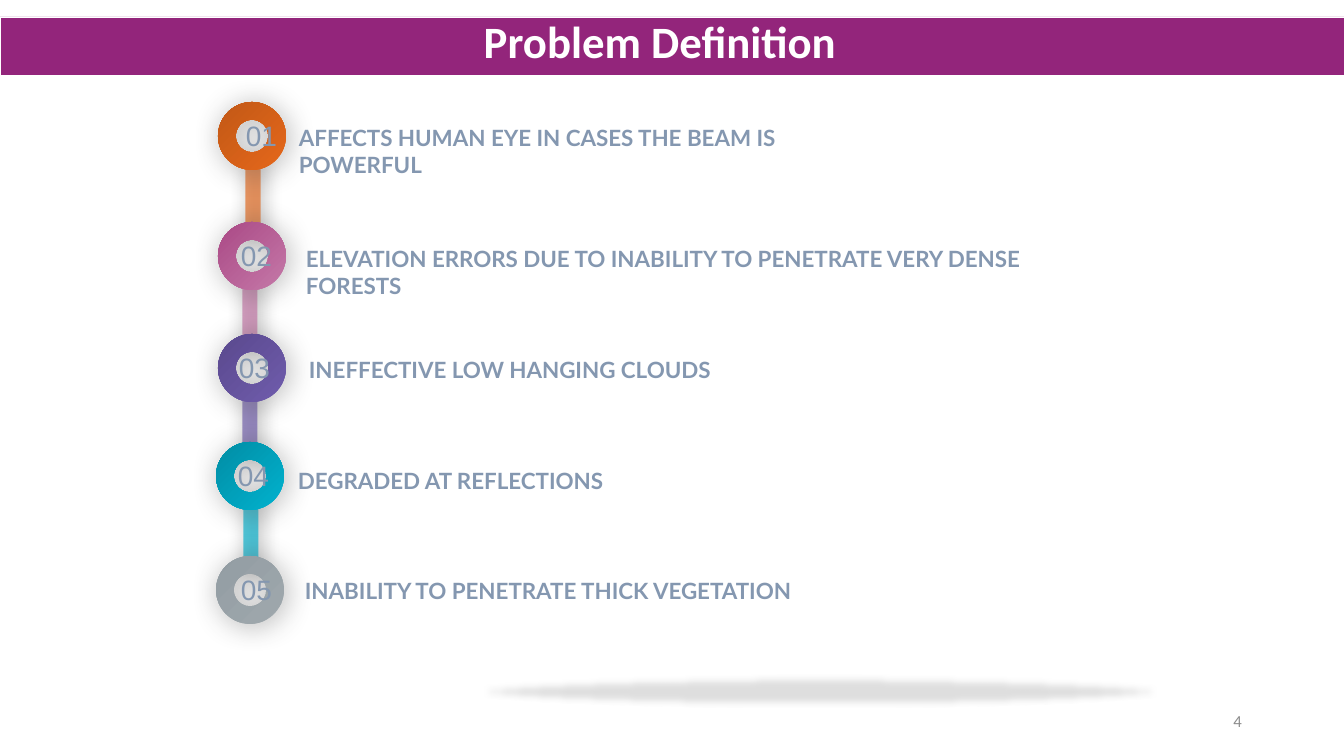
"""Build the Problem Definition slide: five numbered rings joined by links, with captions."""
from lxml.etree import SubElement
from pptx import Presentation
from pptx.dml.color import RGBColor
from pptx.enum.shapes import MSO_CONNECTOR, MSO_SHAPE
from pptx.enum.text import MSO_ANCHOR, MSO_AUTO_SIZE, PP_ALIGN
from pptx.oxml.ns import qn
from pptx.util import Pt

TITLE = "Problem Definition"
PAGE = "4"
PROBLEMS = [
    dict(name="orange", caption="AFFECTS HUMAN EYE IN CASES THE BEAM IS POWERFUL",
         ring=(218, 102), number_x=236, caption_at=(289, 119), caption_width=623, link_x=253),
    dict(name="pink", caption="ELEVATION ERRORS DUE TO INABILITY TO PENETRATE VERY DENSE FORESTS",
         ring=(218, 222), number_x=231, caption_at=(296, 240), caption_width=797, link_x=250),
    dict(name="purple", caption="INEFFECTIVE LOW HANGING CLOUDS",
         ring=(218, 334), number_x=229, caption_at=(299, 351), caption_width=618, link_x=250),
    dict(name="teal", caption="DEGRADED AT REFLECTIONS",
         ring=(216, 442), number_x=228, caption_at=(288, 462), caption_width=360, link_x=251),
    dict(name="grey", caption="INABILITY TO PENETRATE THICK VEGETATION",
         ring=(216, 556), number_x=231, caption_at=(295, 572), caption_width=654, link_x=None),
]
COLORS = {
    "bar": "93257B", "white": "FFFFFF", "text": "8497B0", "page": "8C8C8C", "floor": "D1D1D1",
    "ring_shadow": "404040", "link_shadow": "000000",
    "orange": ("E5681B", "C25816", "E3671B"), "pink": ("C579A8", "AA4986", "C273A4"),
    "purple": ("6F5CAC", "5A498E", "6E5BAA"), "teal": ("01B2CF", "018DA4", "01B0CC"),
    "grey": ("9FA8AD", "939DA3", None),
}
SCALE = 12192000 / 1344
RING = 68
NUMBER_DROP = 12
LINK_START, LINK_END = 56, 15


def px(*lengths):
    return [round(length * SCALE) for length in lengths]


def rgb(value):
    return RGBColor.from_string(value)


def write(holder, text, *, size, color, font="Calibri", bold=False,
          align=PP_ALIGN.LEFT, anchor=MSO_ANCHOR.TOP, spacing=None):
    frame = holder.text_frame
    frame.word_wrap = True
    frame.auto_size = MSO_AUTO_SIZE.NONE
    frame.vertical_anchor = anchor
    paragraph = frame.paragraphs[0]
    paragraph.alignment = align
    paragraph.line_spacing = spacing
    run = paragraph.add_run()
    run.text = text
    run.font.size, run.font.name, run.font.bold = Pt(size), font, bold
    run.font.color.rgb = rgb(color)


def add_effect(shape, kind, color=None, **attributes):
    properties = shape._element.spPr
    for empty in properties.findall(qn("a:effectLst")):
        properties.remove(empty)
    effects = SubElement(properties, qn("a:effectLst"))
    effect = SubElement(effects, qn(f"a:{kind}"), {k: str(v) for k, v in attributes.items()})
    if color:
        shade = SubElement(effect, qn("a:srgbClr"), val=color)
        SubElement(shade, qn("a:alpha"), val="40000")


def add_shadow(shape, color, blur):
    add_effect(shape, "outerShdw", color, blurRad=Pt(blur), dist=Pt(3), dir=45 * 60000,
               algn="tl", rotWithShape=0)


def set_alpha(shape, percent):
    shade = next(shape._element.spPr.iter(qn("a:srgbClr")))
    SubElement(shade, qn("a:alpha"), val=str(percent * 1000))


def add_solid(kind, box, color):
    shape = slide.shapes.add_shape(kind, *px(*box))
    shape.shadow.inherit = False
    shape.fill.solid()
    shape.fill.fore_color.rgb = rgb(color)
    shape.line.fill.background()
    return shape


def add_link(x, top, bottom, color):
    link = slide.shapes.add_connector(MSO_CONNECTOR.STRAIGHT, *px(x, top, x, bottom))
    link.line.width = Pt(10.75)
    link.line.color.rgb = rgb(color)
    set_alpha(link, 65)
    add_shadow(link, COLORS["link_shadow"], 15)


def add_ring(left, top, light, dark):
    ring = slide.shapes.add_shape(MSO_SHAPE.DONUT, *px(left, top, RING, RING))
    ring.adjustments[0] = 0.26
    ring.line.fill.background()
    ring.fill.gradient()
    ring.fill.gradient_angle = 135
    for stop, color in zip(ring.fill.gradient_stops, (light, dark)):
        stop.color.rgb = rgb(color)
    add_shadow(ring, COLORS["ring_shadow"], 20)


def add_label(box, text, **style):
    write(slide.shapes.add_textbox(*px(*box)), text, **style)


deck = Presentation()
deck.slide_width, deck.slide_height = px(1344, 756)
slide = deck.slides.add_slide(deck.slide_layouts[5])

bar = add_solid(MSO_SHAPE.RECTANGLE, (0, 17, 1344, 58), COLORS["bar"])
bar.line.color.rgb = rgb(COLORS["white"])
bar.line.width = Pt(0.25)

title = slide.shapes.title
title.left, title.top, title.width, title.height = px(219, 8, 882, 71)
write(title, TITLE, size=32, color=COLORS["white"], bold=True,
      align=PP_ALIGN.CENTER, anchor=MSO_ANCHOR.MIDDLE, spacing=0.9)
slide.shapes._spTree.append(title._element)

for problem, following in zip(PROBLEMS, PROBLEMS[1:]):
    add_link(problem["link_x"], problem["ring"][1] + LINK_START,
             following["ring"][1] + LINK_END, COLORS[problem["name"]][2])

for problem in PROBLEMS:
    add_ring(*problem["ring"], *COLORS[problem["name"]][:2])

floor = add_solid(MSO_SHAPE.OVAL, (454, 675, 732, 33), COLORS["floor"])
set_alpha(floor, 68)
add_effect(floor, "softEdge", rad=Pt(5))

for number, problem in enumerate(PROBLEMS, 1):
    add_label((problem["number_x"], problem["ring"][1] + NUMBER_DROP, 150, 44), f"{number:02}",
              size=20, font="Arial", color=COLORS["text"])
    add_label((*problem["caption_at"], problem["caption_width"], 37), problem["caption"],
              size=16, font="Lato", color=COLORS["text"], bold=True)

add_label((950, 701, 302, 40), PAGE, size=12, color=COLORS["page"],
          align=PP_ALIGN.RIGHT, anchor=MSO_ANCHOR.MIDDLE)

deck.save("out.pptx")
